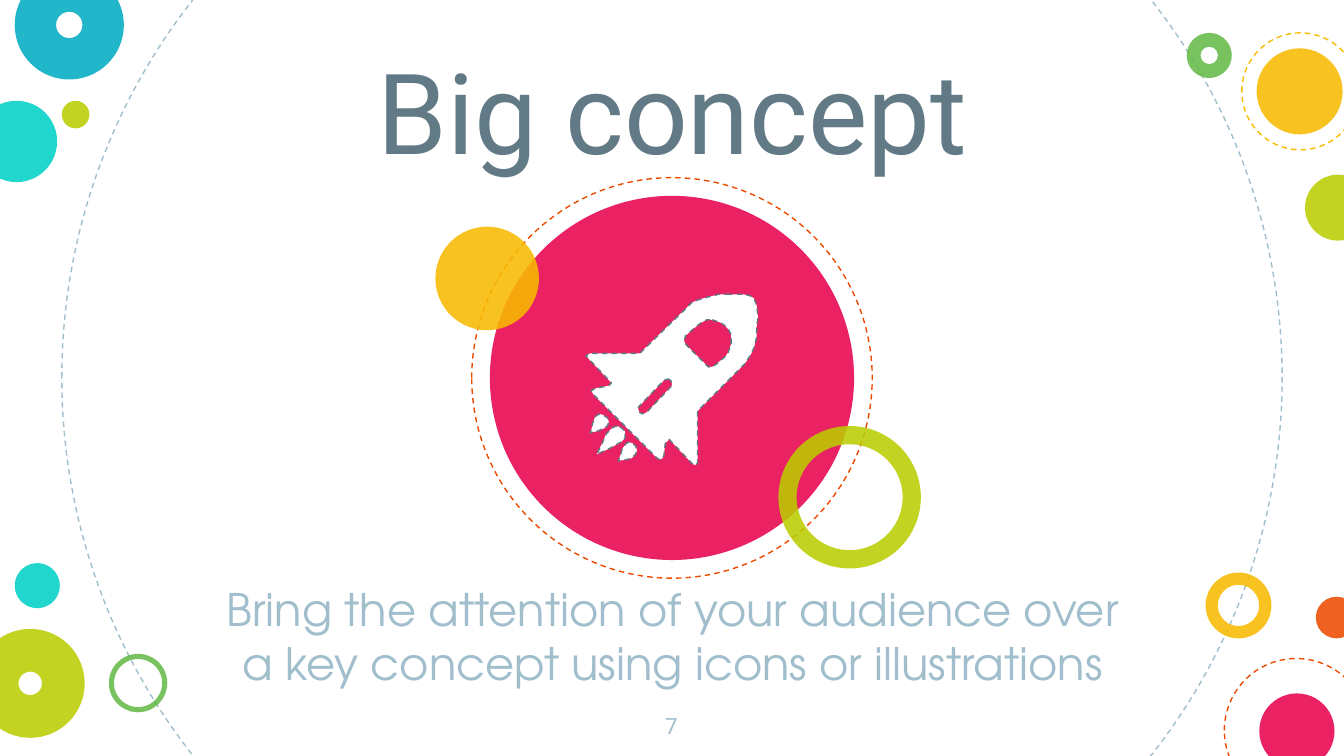
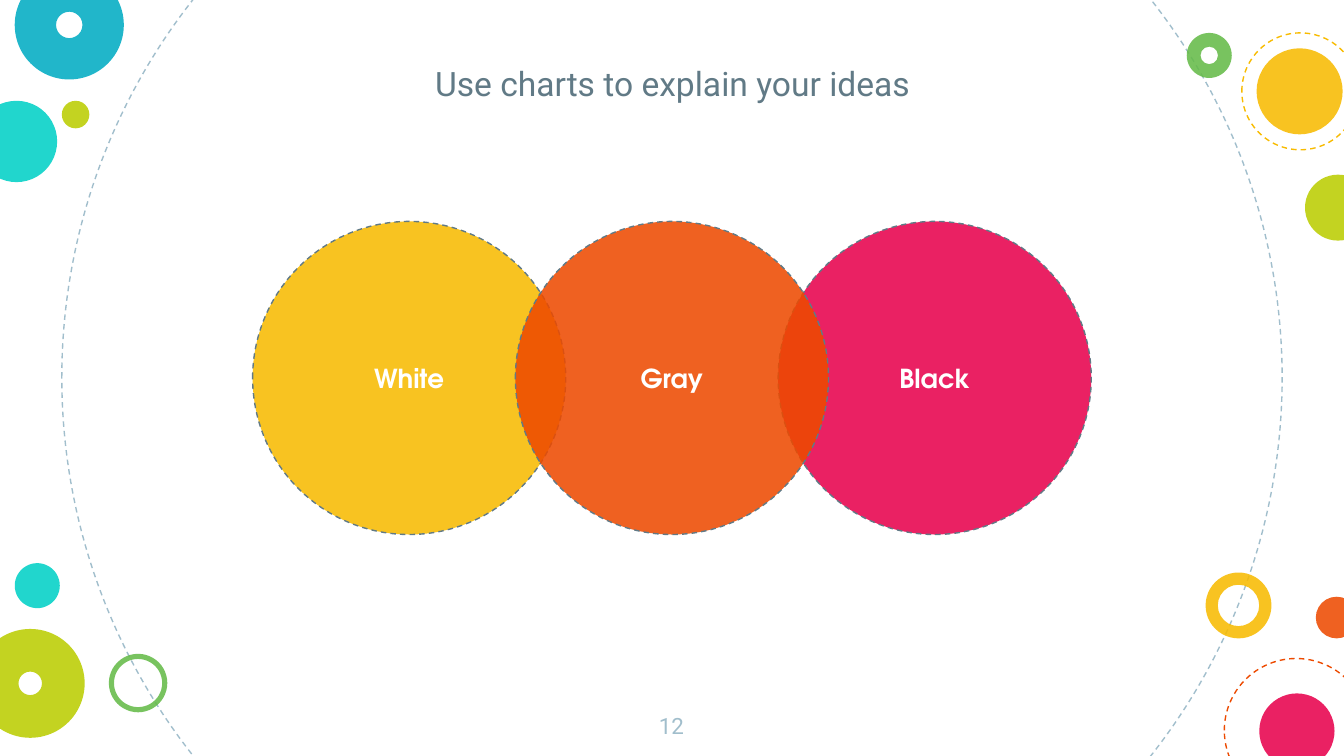
import lxml.etree
import pptx
import pptx.dml.color
import pptx.enum.dml
import pptx.enum.shapes
import pptx.enum.text
import pptx.oxml.ns
import pptx.util

COLORS = {
    "white": "FFFFFF", "slate": "617A86", "mist": "A1BECC", "turquoise": "00D1C6",
    "yellow": "F8BB00", "blue": "00ACC3", "lime": "BBCD00", "orange": "ED4A00",
    "green": "65BB48", "pink": "E8004C",
}
HEADING_FONT, BODY_FONT = "Roboto", "TeX Gyre Adventor"
COLUMNS, ROWS = 100, 56.25
CELL = pptx.util.Inches(0.1)
TITLE_SLIDE, TITLE_ONLY = 0, 5
OPACITY = 87

# Left column, top row, diameter, fill, ring thickness (0 for a full disc)
CORNER_DISCS = [
    (-1.8, 7.5, 6.05, "turquoise", 0),
    (89.7, 42.6, 4.9, "yellow", 0.186),
    (1.1, -2.2, 8.12, "blue", 0.379),
    (4.6, 7.5, 2.05, "lime", 0),
    (8.1, 48.65, 4.35, "green", 0.088),
    (97.9, 44.4, 3.1, "orange", 0),
    (-1.8, 46.8, 8.1, "lime", 0.392),
    (93.7, 51.6, 5.6, "pink", 0),
    (88.3, 2.45, 3.35, "green", 0.306),
    (93.5, 3.6, 6.4, "yellow", 0),
    (97.1, 13, 4.9, "lime", 0),
    (1.1, 41.9, 3.35, "turquoise", 0),
]
DASHED_RINGS = [
    (4.6, -17.3, 90.8, "mist"),
    (91.1, 49, 10.7, "orange"),
    (92.4, 2.45, 8.7, "yellow"),
]

# Outlines in tenths of a cell; contours inside another one become holes
ROCKET_WINDOW = [
    (530, 238), (533, 239), (536, 240), (539, 242), (542, 245), (544, 249),
    (544, 256), (542, 262), (540, 265), (533, 271), (530, 273), (527, 273),
    (525, 271), (511, 257), (509, 254), (510, 250), (518, 243), (522, 240),
    (526, 238),
]
ROCKET_SLOT = [
    (497, 282), (499, 283), (500, 285), (500, 287), (481, 307), (478, 308),
    (476, 307), (475, 305), (475, 303), (494, 283),
]
ROCKET_BODY = [
    (543, 219), (535, 219), (527, 221), (520, 223), (515, 225), (512, 228),
    (476, 263), (439, 263), (437, 264), (436, 265), (438, 267), (455, 285),
    (453, 287), (443, 289), (441, 290), (440, 291), (442, 294), (489, 341),
    (491, 342), (493, 341), (494, 339), (495, 330), (498, 327), (515, 345),
    (517, 346), (519, 345), (519, 306), (554, 271), (556, 268), (558, 265),
    (561, 259), (563, 251), (563, 243), (564, 236), (563, 227), (561, 222),
    (558, 220), (553, 219),
]
FLAMES = [
    [(459, 317), (456, 318), (453, 321), (451, 323), (448, 330), (444, 338),
     (453, 334), (462, 329), (465, 326), (465, 321), (462, 318)],
    [(468, 329), (466, 330), (463, 334), (462, 338), (460, 343), (466, 342),
     (470, 341), (473, 338), (474, 335), (473, 332), (471, 330)],
    [(446, 308), (443, 310), (441, 315), (440, 320), (439, 322), (444, 321),
     (449, 319), (452, 317), (453, 314), (452, 311), (449, 309)],
]


def cells(count):
    return pptx.util.Emu(round(count * CELL))


def rgb(name):
    return pptx.dml.color.RGBColor.from_string(COLORS[name])


class BubbleDeck:
    """Holds the deck, its style and the page being drawn."""

    def __init__(self):
        self.deck = pptx.Presentation()
        self.deck.slide_width = cells(COLUMNS)
        self.deck.slide_height = cells(ROWS)
        self.page = None

    def add_page(self, layout, number):
        self.page = self.deck.slides.add_slide(self.deck.slide_layouts[layout])
        for left, top, size, color in DASHED_RINGS:
            self.circle(left, top, size, line=color)
        for left, top, size, color, ring in CORNER_DISCS:
            self.circle(left, top, size, color, ring=ring)
        box = self.page.shapes.add_textbox(*map(cells, (47.4, 52, 5.1, 4.3)))
        self.set_text(box, str(number), 12, HEADING_FONT, "mist")

    def set_text(self, shape, text, size, font, color, anchor="TOP", bold=False, before=0):
        frame = shape.text_frame
        frame.text = text
        frame.word_wrap = True
        frame.auto_size = pptx.enum.text.MSO_AUTO_SIZE.NONE
        frame.vertical_anchor = pptx.enum.text.MSO_ANCHOR[anchor]
        frame.margin_left = frame.margin_right = CELL
        frame.margin_top = frame.margin_bottom = CELL
        para = frame.paragraphs[0]
        para.alignment = pptx.enum.text.PP_ALIGN.CENTER
        para.space_before = pptx.util.Pt(before)
        para.font.name = font
        para.font.size = pptx.util.Pt(size)
        para.font.bold = bold
        para.font.color.rgb = rgb(color)

    def placeholder(self, index, area, text, size, font, color, **style):
        box = self.page.placeholders[index]
        box.left, box.top, box.width, box.height = map(cells, area)
        self.set_text(box, text, size, font, color, **style)

    def title(self, area, text, size):
        self.placeholder(0, area, text, size, HEADING_FONT, "slate", anchor="BOTTOM")

    def paint(self, shape, fill=None, line=None, opacity=100):
        shape.shadow.inherit = False
        if fill:
            shape.fill.solid()
            shape.fill.fore_color.rgb = rgb(fill)
            if opacity < 100:
                qn = pptx.oxml.ns.qn
                color = shape.element.spPr.find(qn("a:solidFill"))[0]
                lxml.etree.SubElement(color, qn("a:alpha"), val=str(opacity * 1000))
        else:
            shape.fill.background()
        if line:
            shape.line.color.rgb = rgb(line)
            shape.line.width = pptx.util.Pt(0.75)
            shape.line.dash_style = pptx.enum.dml.MSO_LINE.DASH
        else:
            shape.line.fill.background()

    def circle(self, left, top, size, fill=None, line=None, ring=0):
        kinds = pptx.enum.shapes.MSO_SHAPE
        shape = self.page.shapes.add_shape(
            kinds.DONUT if ring else kinds.OVAL, *map(cells, (left, top, size, size)))
        if ring:
            shape.adjustments[0] = ring
        self.paint(shape, fill, line, OPACITY)
        return shape

    def outline(self, group, contours):
        first, *others = contours
        builder = group.shapes.build_freeform(*first[0], scale=CELL / 10)
        builder.add_line_segments(first[1:])
        for contour in others:
            builder.move_to(*contour[0])
            builder.add_line_segments(contour[1:])
        self.paint(builder.convert_to_shape(), "white", "slate")


def draw_big_concept(bubbles):
    bubbles.add_page(TITLE_SLIDE, 7)
    bubbles.title((14.3, 1.5, 71.5, 12.7), "Big concept", 60)
    bubbles.placeholder(
        1, (14.3, 42.3, 71.5, 8.6),
        "Bring the attention of your audience over a key concept using icons or illustrations",
        24, BODY_FONT, "mist", before=6)
    bubbles.circle(36.45, 14.57, 27.1, "pink")
    bubbles.circle(35.1, 13.22, 29.8, line="orange")
    bubbles.circle(32.4, 16.87, 7.7, "yellow")
    bubbles.circle(57.92, 31.7, 10.6, "lime", ring=0.128)
    rocket = bubbles.page.shapes.add_group_shape()
    bubbles.outline(rocket, [ROCKET_WINDOW, ROCKET_SLOT, ROCKET_BODY])
    for flame in FLAMES:
        bubbles.outline(rocket, [flame])


def draw_overlapping_circles(bubbles):
    bubbles.add_page(TITLE_ONLY, 12)
    bubbles.title((21.2, 1.7, 57.7, 7), "Use charts to explain your ideas", 18)
    size, pitch = 23.3, 19.55
    # The middle circle comes last so that it lies over both neighbours
    for step, label, color in [(-1, "White", "yellow"), (1, "Black", "pink"),
                               (0, "Gray", "orange")]:
        left = (COLUMNS - size) / 2 + step * pitch
        disc = bubbles.circle(left, (ROWS - size) / 2, size, color, "slate")
        bubbles.set_text(disc, label, 14, BODY_FONT, "white", anchor="MIDDLE", bold=True)


def main():
    bubbles = BubbleDeck()
    draw_big_concept(bubbles)
    draw_overlapping_circles(bubbles)
    bubbles.deck.save("out.pptx")


if __name__ == "__main__":
    main()
